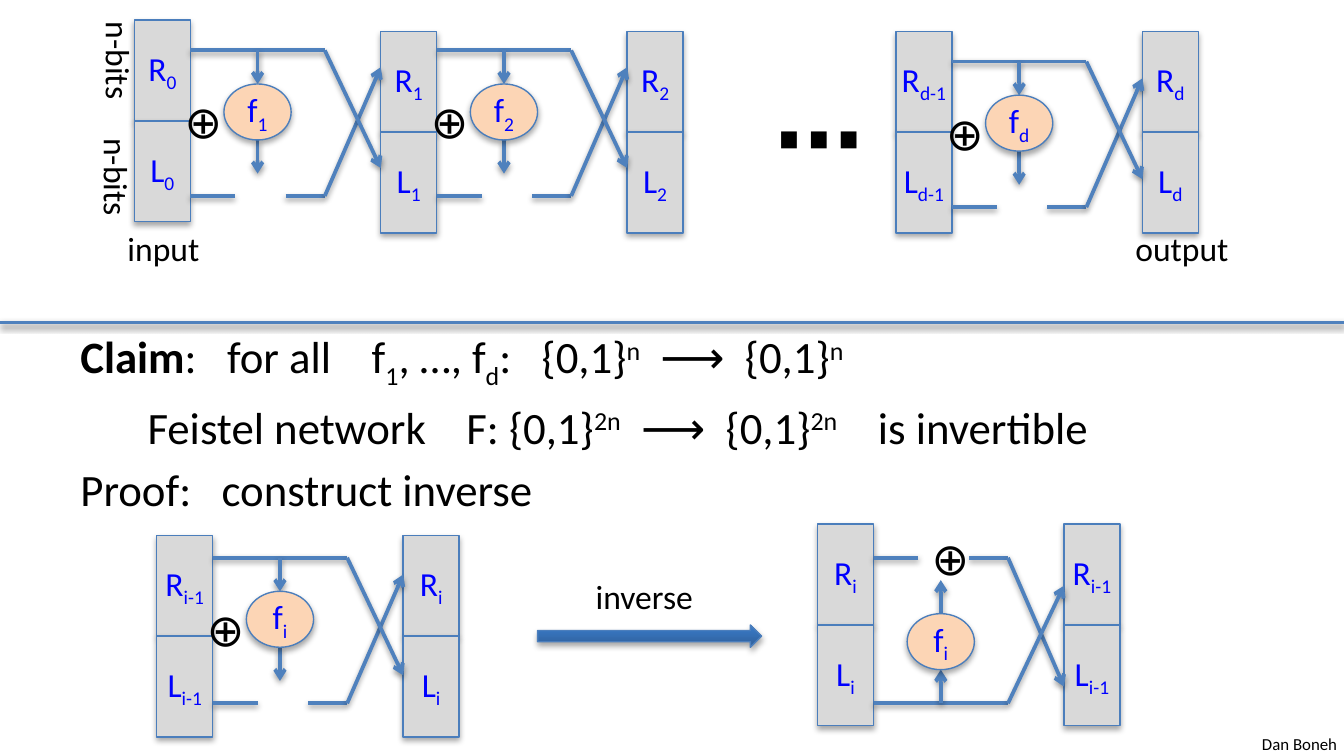
from dataclasses import dataclass

from lxml.etree import SubElement
from pptx import Presentation
from pptx.dml.color import RGBColor
from pptx.enum.shapes import MSO_CONNECTOR, MSO_SHAPE
from pptx.enum.text import MSO_ANCHOR, MSO_AUTO_SIZE, PP_ALIGN
from pptx.oxml.ns import qn
from pptx.util import Emu, Pt

PX = 7620  # 120 px to the inch
SLIDE_W, SLIDE_H = 1200, 675
HALF_W, HALF_H = 50, 90  # one half of a block
SUB, SUPER = -25, 30  # baseline shifts in percent


@dataclass(frozen=True)
class Theme:
    font: str = "Calibri"
    ink: str = "000000"
    label: str = "0000FF"
    half: str = "D9D9D9"
    function: str = "FCD5B5"
    outline: str = "4B7EBC"
    wire: str = "4F81BD"
    arrow_dark: str = "2F5F99"
    arrow_light: str = "3A7CCB"
    credit_size: int = 9
    label_size: int = 18
    body_size: int = 24
    dots_size: int = 48


def px(value):
    return Emu(value * PX)


def rgb(value):
    return RGBColor.from_string(value)


class FeistelSlide:
    def __init__(self, slide, theme):
        self.shapes = slide.shapes
        self.theme = theme

    def shadow(self, shape, alpha, distance):
        properties = shape._element.spPr
        effects = properties.find(qn("a:effectLst"))
        if effects is None:
            effects = SubElement(properties, qn("a:effectLst"))
        outer = SubElement(effects, qn("a:outerShdw"), blurRad="40000",
                           dist=str(distance), dir="5400000", rotWithShape="0")
        black = SubElement(outer, qn("a:srgbClr"), val="000000")
        SubElement(black, qn("a:alpha"), val=str(alpha * 1000))

    def add_runs(self, paragraph, runs, size, color):
        """Each run is (text, baseline shift) or (text, shift, bold)."""
        for text, shift, *bold in runs:
            run = paragraph.add_run()
            run.text = text
            run.font.name = self.theme.font
            run.font.size = Pt(size)
            run.font.bold = bool(bold and bold[0])
            run.font.color.rgb = rgb(color)
            if shift:
                run._r.get_or_add_rPr().set("baseline", str(shift * 1000))

    def note(self, text, x, y, w, h, size=None, bold=False, rotation=0):
        box = self.shapes.add_textbox(px(x), px(y), px(w), px(h))
        box.rotation = rotation
        box.text_frame.word_wrap = False
        box.text_frame.auto_size = MSO_AUTO_SIZE.SHAPE_TO_FIT_TEXT
        self.add_runs(box.text_frame.paragraphs[0], [(text, 0, bold)],
                      size or self.theme.label_size, self.theme.ink)
        return box

    def body(self, paragraphs, x, y, w, h):
        frame = self.shapes.add_textbox(px(x), px(y), px(w), px(h)).text_frame
        frame.word_wrap = True
        for index, runs in enumerate(paragraphs):
            paragraph = frame.add_paragraph() if index else frame.paragraphs[0]
            paragraph.space_before = Pt(4.8)
            self.add_runs(paragraph, runs, self.theme.body_size, self.theme.ink)

    def outlined(self, kind, x, y, w, h):
        shape = self.shapes.add_shape(kind, px(x), px(y), px(w), px(h))
        shape.line.color.rgb = rgb(self.theme.outline)
        shape.line.width = Pt(0.75)
        shape.shadow.inherit = False
        self.shadow(shape, 35, 23000)
        return shape

    def labelled(self, kind, letter, index, x, y, w, h, fill):
        shape = self.outlined(kind, x, y, w, h)
        shape.fill.solid()
        shape.fill.fore_color.rgb = rgb(fill)
        frame = shape.text_frame
        frame.margin_left = frame.margin_right = 0
        frame.vertical_anchor = MSO_ANCHOR.MIDDLE
        frame.paragraphs[0].alignment = PP_ALIGN.CENTER
        self.add_runs(frame.paragraphs[0], [(letter, 0), (index, SUB)],
                      self.theme.label_size, self.theme.label)

    def block(self, index, x, y):
        for row, letter in enumerate("RL"):
            self.labelled(MSO_SHAPE.RECTANGLE, letter, index, x, y + row * HALF_H,
                          HALF_W, HALF_H, self.theme.half)

    def wire(self, x1, y1, x2, y2, arrow=False):
        line = self.shapes.add_connector(MSO_CONNECTOR.STRAIGHT,
                                         px(x1), px(y1), px(x2), px(y2))
        line.line.color.rgb = rgb(self.theme.wire)
        line.line.width = Pt(2)
        if arrow:
            SubElement(line._element.spPr.get_or_add_ln(), qn("a:tailEnd"), type="arrow")
        self.shadow(line, 38, 20000)

    def round(self, index, x, y, way=1):
        """Wiring right of a block; x, y start the through wire, way -1 goes up."""
        xor = self.note("⊕", x + 40, y + way * 130 - 30, 44, 60, self.theme.body_size)
        if way == 1:
            xor._element.spPr.xfrm.set("flipV", "1")
        for x1, d1, x2, d2, arrow in (
            (0, 0, 120, 0, False),
            (0, 130, 40, 130, False),
            (85, 130, 120, 130, False),
            (120, 130, 170, 15, True),
            (120, 0, 170, 105, True),
            (60, 0, 60, 30, True),
            (60, 80, 60, 110, True),
        ):
            self.wire(x + x1, y + way * d1, x + x2, y + way * d2, arrow)
        self.labelled(MSO_SHAPE.OVAL, "f", index, x + 30, y + way * 55 - 25,
                      60, 50, self.theme.function)

    def block_arrow(self, x, y, w, h):
        fill = self.outlined(MSO_SHAPE.RIGHT_ARROW, x, y, w, h).fill
        fill.gradient()
        fill.gradient_angle = 90
        colors = (self.theme.arrow_dark, self.theme.arrow_light)
        for stop, color in zip(fill.gradient_stops, colors):
            stop.color.rgb = rgb(color)


def main():
    deck = Presentation()
    deck.slide_width, deck.slide_height = px(SLIDE_W), px(SLIDE_H)
    theme = Theme()
    page = FeistelSlide(deck.slides.add_slide(deck.slide_layouts[6]), theme)

    # Credit, claim and proof
    page.note("Dan Boneh", 1115, 649, 91, 30, theme.credit_size)
    page.body([
        [("Claim", 0, True), (":   for all    f", 0), ("1", SUB), (", …, f", 0),
         ("d", SUB), (":   {0,1}", 0), ("n", SUPER), ("  ⟶  {0,1}", 0), ("n", SUPER)],
        [("\tFeistel network    F: {0,1}", 0), ("2n", SUPER), ("  ⟶  {0,1}", 0),
         ("2n", SUPER), ("    is invertible", 0)],
        [("Proof:   construct inverse", 0)],
    ], 60, 288, 1080, 180)
    page.wire(0, 288, SLIDE_W, 288)

    # Feistel network
    for index, x, y in (("0", 120, 18), ("1", 340, 28), ("2", 560, 28),
                        ("d-1", 800, 28), ("d", 1020, 28)):
        page.block(index, x, y)
    for index, x, y in (("1", 170, 45), ("2", 390, 45), ("d", 850, 55)):
        page.round(index, x, y)
    page.note("⋯", 680, 67, 65, 109, theme.dots_size, bold=True)
    page.note("input", 102, 198, 90, 48)
    page.note("output", 1002, 198, 108, 48)
    page.note("n-bits", 59, 31, 95, 48, rotation=90)
    page.note("n-bits", 57, 135, 95, 48, rotation=90)

    # One round and its inverse
    page.block("i-1", 140, 478)
    page.block("i", 360, 478)
    page.round("i", 190, 498)
    page.block_arrow(480, 558, 200, 20)
    page.note("inverse", 520, 508, 113, 48)
    page.block("i", 730, 468)
    page.block("i-1", 950, 468)
    page.round("i", 780, 628, way=-1)

    deck.save("out.pptx")


if __name__ == "__main__":
    main()
